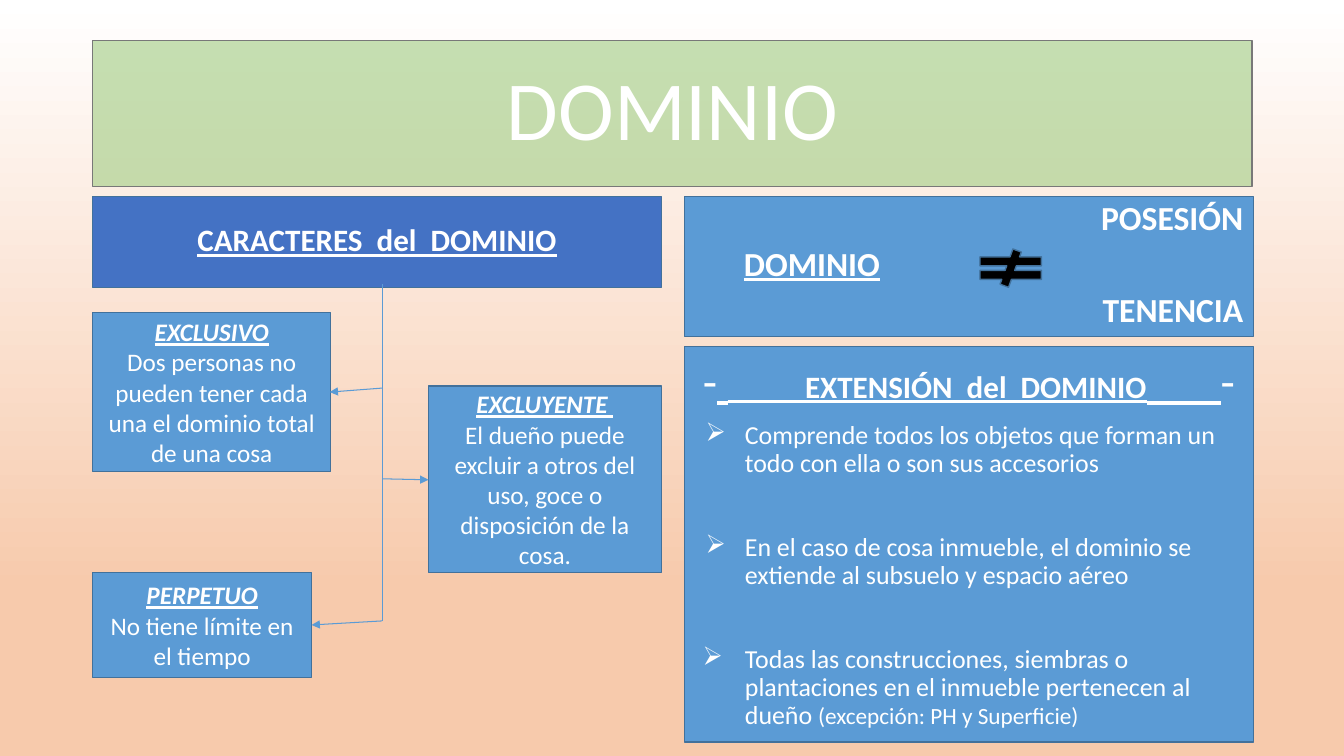
from dataclasses import dataclass

from lxml import etree
from pptx import Presentation, util as u
from pptx.dml.color import RGBColor
from pptx.enum import shapes, text
from pptx.oxml.ns import qn

LEFT, CENTER, RIGHT = text.PP_ALIGN.LEFT, text.PP_ALIGN.CENTER, text.PP_ALIGN.RIGHT


@dataclass(frozen=True)
class Theme:
    font: str = "Calibri"
    white: str = "FFFFFF"
    black: str = "000000"
    peach: str = "F7CAAC"
    green: str = "A8D08C"
    gray: str = "787878"
    blue: str = "5B9BD5"
    royal: str = "4472C4"
    edge: str = "42719B"
    title: float = 60
    dash: float = 33.3
    compared: float = 24
    heading: float = 22.2
    bullet: float = 18.5
    trait: float = 18
    aside: float = 16.6


class DiagramSlide:
    def __init__(self, presentation, theme):
        self.theme = theme
        self.slide = presentation.slides.add_slide(presentation.slide_layouts[6])

    def background(self, top, bottom):
        fill = self.slide.background.fill
        fill.gradient()
        fill.gradient_angle = 270
        for stop, color, position in zip(fill.gradient_stops, (top, bottom), (0, 0.78)):
            stop.color.rgb = RGBColor.from_string(color)
            stop.position = position

    def box(self, left, top, width, height, fill=None, edge=None, opacity=None,
            kind=shapes.MSO_SHAPE.RECTANGLE):
        shape = self.slide.shapes.add_shape(
            kind, *(u.Inches(length) for length in (left, top, width, height)))
        shape.shadow.inherit = False
        shape.fill.solid()
        shape.fill.fore_color.rgb = RGBColor.from_string(fill or self.theme.blue)
        shape.line.color.rgb = RGBColor.from_string(edge or self.theme.edge)
        shape.line.width = u.Pt(1)
        if opacity:
            color = shape._element.spPr.find(qn("a:solidFill"))[0]
            etree.SubElement(color, qn("a:alpha"), val=str(opacity * 1000))
        shape.text_frame.word_wrap = True
        shape.text_frame.vertical_anchor = text.MSO_ANCHOR.MIDDLE
        return shape

    def add_text(self, shape, runs, align=CENTER, spacing=0.9, before=0,
                 margin=0, indent=0, bullet=None):
        """Add a paragraph of (words, size, style) runs; style holds b, i and u."""
        frame = shape.text_frame
        paragraph = frame.paragraphs[0]
        if paragraph.runs:
            paragraph = frame.add_paragraph()
        paragraph.alignment = align
        paragraph.line_spacing = spacing
        paragraph.space_before = u.Pt(before)
        properties = paragraph._p.get_or_add_pPr()
        properties.set("marL", str(u.Inches(margin)))
        properties.set("indent", str(u.Inches(indent)))
        if bullet:
            color = etree.SubElement(properties, qn("a:buClr"))
            etree.SubElement(color, qn("a:srgbClr"), val=self.theme.white)
            etree.SubElement(properties, qn("a:buChar"), char=bullet)
        for words, size, style in runs:
            run = paragraph.add_run()
            run.text = words
            font = run.font
            font.name, font.size = self.theme.font, u.Pt(size)
            font.color.rgb = RGBColor.from_string(self.theme.white)
            font.bold, font.italic, font.underline = (mark in style for mark in "biu")

    def trait(self, name, description, *place):
        box = self.box(*place)
        self.add_text(box, [(name, self.theme.trait, "biu")], spacing=1)
        self.add_text(box, [(description, self.theme.trait, "")], spacing=1)

    def line(self, start, end, arrow=True):
        connector = self.slide.shapes.add_connector(
            shapes.MSO_CONNECTOR.STRAIGHT,
            *(u.Inches(length) for length in (*start, *end)))
        connector.line.color.rgb = RGBColor.from_string(self.theme.blue)
        connector.line.width = u.Pt(0.75)
        properties = connector._element.spPr
        if arrow:
            etree.SubElement(properties.find(qn("a:ln")), qn("a:tailEnd"), type="triangle")
        etree.SubElement(properties, qn("a:effectLst"))


def main():
    presentation = Presentation()
    presentation.slide_width, presentation.slide_height = u.Inches(13.33), u.Inches(7.5)
    theme = Theme()
    diagram = DiagramSlide(presentation, theme)
    diagram.background(theme.white, theme.peach)

    left, right, column, second_row = 0.92, 6.79, 5.64, 1.95
    title = diagram.box(left, 0.4, 11.5, 1.45, theme.green, theme.gray, opacity=66)
    diagram.add_text(title, [("DOMINIO", theme.title, "")])
    characters = diagram.box(left, second_row, column, 0.9, theme.royal)
    diagram.add_text(characters, [("CARACTERES  del  DOMINIO", theme.heading, "bu")])

    extension = diagram.box(right, 3.44, column, 3.92)
    diagram.add_text(extension, [
        ("-", theme.dash, ""),
        (" ", theme.dash, "u"),
        (" " * 11, theme.heading, "u"),
        ("EXTENSIÓN  del  DOMINIO", theme.heading, "bu"),
        (" " * 7, theme.dash, "u"),
        ("-", theme.dash, ""),
    ])
    for words, aside, before, indent in (
        ("Comprende todos los objetos que forman un todo con ella o son sus accesorios",
         "", 10, -0.39),
        ("En el caso de cosa inmueble, el dominio se extiende al subsuelo y espacio aéreo",
         "", 40, -0.39),
        ("Todas las construcciones, siembras o plantaciones en el inmueble pertenecen al dueño ",
         "(excepción: PH y Superficie)", 40, -0.42),
    ):
        runs = [(words, theme.bullet, "")]
        if aside:
            runs.append((aside, theme.aside, ""))
        diagram.add_text(extension, runs, LEFT, before=before,
                         margin=0.5, indent=indent, bullet="➢")

    diagram.trait("EXCLUSIVO", "Dos personas no pueden tener cada una el dominio total de una cosa",
                  left, 3.1, 2.36, 1.58)
    diagram.trait("PERPETUO", "No tiene límite en el tiempo", left, 5.68, 2.17, 1.04)
    diagram.trait("EXCLUYENTE ",
                  "El dueño puede excluir a otros del uso, goce o disposición de la cosa.",
                  4.25, 3.83, 2.31, 1.85)

    trunk, trunk_end = 3.79, 6.16
    diagram.line((trunk, 2.82), (trunk, trunk_end), arrow=False)
    for branch, tip in ((3.85, (3.27, 3.89)), (4.75, (4.25, 4.76)), (trunk_end, (3.09, 6.2))):
        diagram.line((trunk, branch), tip)

    comparison = diagram.box(right, second_row, column, 1.39)
    diagram.add_text(comparison, [("POSESIÓN", theme.compared, "b")], RIGHT, 0.8)
    diagram.add_text(comparison, [("DOMINIO", theme.compared, "bu")], LEFT, 0.8, 10, 0.59, -0.1)
    diagram.add_text(comparison, [("TENENCIA", theme.compared, "b")], RIGHT, 0.8, 10)
    diagram.box(9.61, 2.47, 0.83, 0.38, theme.black, kind=shapes.MSO_SHAPE.MATH_NOT_EQUAL)

    presentation.save("out.pptx")


if __name__ == "__main__":
    main()
